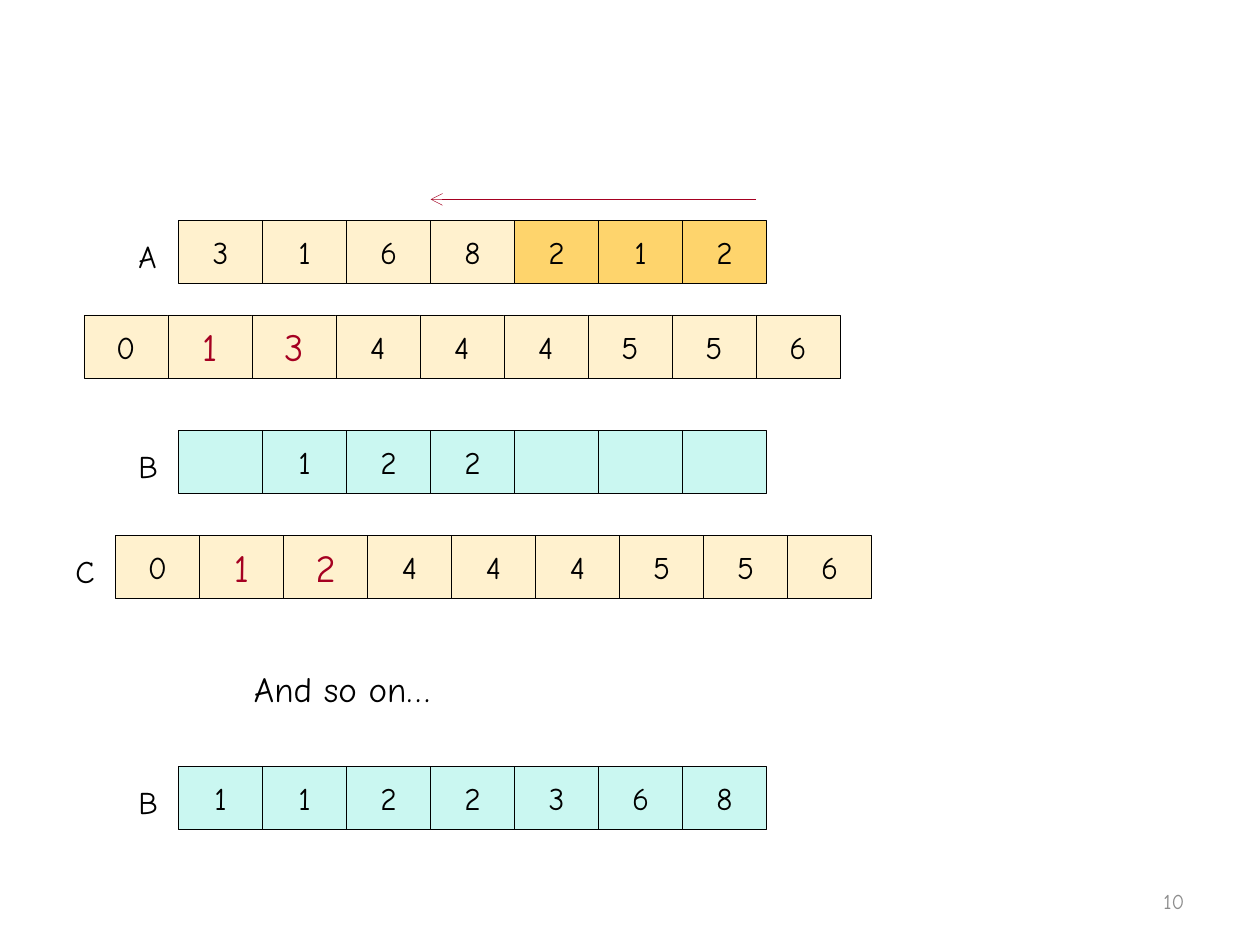
from lxml.etree import SubElement
from pptx import Presentation
from pptx.dml.color import RGBColor
from pptx.enum.shapes import MSO_CONNECTOR, MSO_SHAPE
from pptx.enum.text import MSO_ANCHOR, MSO_AUTO_SIZE, PP_ALIGN
from pptx.oxml.ns import qn
from pptx.util import Cm, Pt

CREAM, GOLD, AQUA = "FFF1CE", "FED46C", "CAF7F1"
BLACK, RED, GREY = "000000", "A50021", "8C8C8C"
CELL_WIDTH, CELL_HEIGHT = 5.08 / 3, 1.27
LABEL_WIDTH, LABEL_HEIGHT = 0.99, 1.02
LABEL_OFFSET, LABEL_DROP = 1.06, 0.21
ARRAY_LEFT = 3.6


def color(hex_string):
    return RGBColor.from_string(hex_string)


class ArraySlide:
    font_name = "Comic Neue"
    line_width = Pt(0.25)

    def __init__(self, slide):
        self.slide = slide

    def set_text(self, text_frame, text, size, text_color, alignment):
        paragraph = text_frame.paragraphs[0]
        paragraph.text = text
        paragraph.alignment = alignment
        paragraph.font.name = self.font_name
        paragraph.font.size = Pt(size)
        paragraph.font.color.rgb = color(text_color)

    def text(self, left, top, width, height, text, size=18, text_color=BLACK,
             alignment=PP_ALIGN.LEFT, anchor=MSO_ANCHOR.TOP, wrap=True):
        box = self.slide.shapes.add_textbox(Cm(left), Cm(top), Cm(width), Cm(height))
        text_frame = box.text_frame
        text_frame.word_wrap = wrap
        text_frame.auto_size = MSO_AUTO_SIZE.NONE
        text_frame.vertical_anchor = anchor
        self.set_text(text_frame, text, size, text_color, alignment)

    def cell(self, left, top, value, fill, changed):
        shape = self.slide.shapes.add_shape(
            MSO_SHAPE.RECTANGLE, Cm(left), Cm(top), Cm(CELL_WIDTH), Cm(CELL_HEIGHT))
        shape.shadow.inherit = False
        shape.fill.solid()
        shape.fill.fore_color.rgb = color(fill)
        shape.line.color.rgb = color(BLACK)
        shape.line.width = self.line_width
        shape.text_frame.vertical_anchor = MSO_ANCHOR.MIDDLE
        if value:
            size, text_color = (22, RED) if changed else (18, BLACK)
            self.set_text(shape.text_frame, value, size, text_color, PP_ALIGN.CENTER)

    def array(self, left, top, values, fill, label="", changed=(), visited=()):
        """Draw a row of cells; changed and visited hold cell indexes."""
        if label:
            self.text(left - LABEL_OFFSET, top + LABEL_DROP,
                      LABEL_WIDTH, LABEL_HEIGHT, label)
        for index, value in enumerate(values):
            cell_fill = GOLD if index in visited else fill
            self.cell(left + index * CELL_WIDTH, top, value, cell_fill, index in changed)

    def arrow(self, start_x, end_x, y):
        connector = self.slide.shapes.add_connector(
            MSO_CONNECTOR.STRAIGHT, Cm(start_x), Cm(y), Cm(end_x), Cm(y))
        connector.line.color.rgb = color(RED)
        connector.line.width = self.line_width
        properties = connector.element.spPr
        SubElement(properties.find(qn("a:ln")), qn("a:tailEnd"), type="arrow")
        SubElement(properties, qn("a:effectLst"))


def main():
    presentation = Presentation()
    presentation.slide_width, presentation.slide_height = Cm(25.4), Cm(19.05)
    page = ArraySlide(presentation.slides.add_slide(presentation.slide_layouts[6]))

    page.arrow(15.24, 8.68, 4.02)
    page.array(ARRAY_LEFT, 4.45, "3168212", CREAM, "A", visited=(4, 5, 6))
    page.array(1.69, 6.35, "013444556", CREAM, changed=(1, 2))
    page.array(ARRAY_LEFT, 8.68, ["", "1", "2", "2", "", "", ""], AQUA, "B")
    page.array(2.33, 10.8, "012444556", CREAM, "C", changed=(1, 2))
    page.text(4.87, 13.34, 4.22, 1.11, "And so on…", size=20, wrap=False)
    page.array(ARRAY_LEFT, 15.45, "1122368", AQUA, "B")
    page.text(18.2, 17.66, 5.93, 1.01, "10", size=12, text_color=GREY,
              alignment=PP_ALIGN.RIGHT, anchor=MSO_ANCHOR.MIDDLE)

    presentation.save("out.pptx")


if __name__ == "__main__":
    main()
